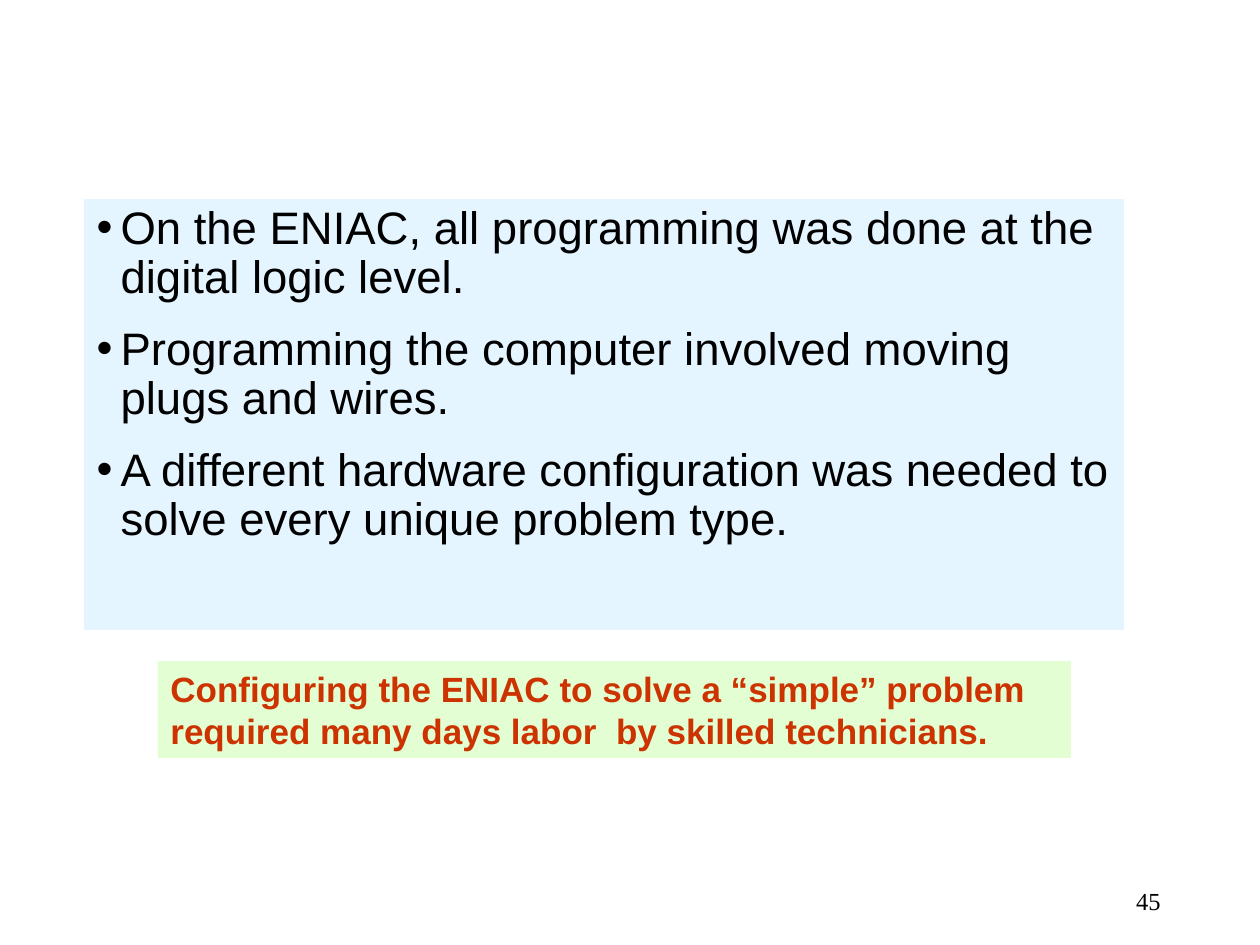
from lxml.etree import SubElement
from pptx import Presentation
from pptx.dml.color import RGBColor
from pptx.enum.shapes import MSO_SHAPE
from pptx.enum.text import MSO_ANCHOR, PP_ALIGN
from pptx.oxml.ns import qn
from pptx.util import Emu, Pt

EMU_PER_PX = 914400 // 126
COLOURS = {
    "text": "000000",
    "accent": "CC3300",
    "body_fill": "E4F5FF",
    "callout_fill": "E2FED2",
}
POINTS = [
    "On the ENIAC, all programming was done at the digital logic level.",
    "Programming the computer involved moving plugs and wires.",
    "A different hardware configuration was needed to solve every unique problem type.",
]
CALLOUT = (
    "Configuring the ENIAC to solve a “simple” problem "
    "required many days labor  by skilled technicians."
)


def px(length):
    return Emu(length * EMU_PER_PX)


def fill_shape(shape, colour):
    shape.fill.solid()
    shape.fill.fore_color.rgb = RGBColor.from_string(COLOURS[colour])
    shape.line.fill.background()


def add_run(paragraph, text, size, font="Arial", colour="text", bold=False):
    run = paragraph.add_run()
    run.text = text
    run.font.size = Pt(size)
    run.font.name = font
    run.font.bold = bold
    run.font.color.rgb = RGBColor.from_string(COLOURS[colour])


def set_bullet(paragraph, indent):
    """Give the paragraph a round bullet with a hanging indent."""
    properties = paragraph._p.get_or_add_pPr()
    properties.set("marL", str(indent))
    properties.set("indent", str(-indent))
    colour = SubElement(properties, qn("a:buClr"))
    SubElement(colour, qn("a:srgbClr"), val=COLOURS["text"])
    SubElement(properties, qn("a:buFont"), typeface="Arial")
    SubElement(properties, qn("a:buChar"), char="•")


def fill_body(body):
    body.left, body.top, body.width, body.height = map(px, (84, 199, 1040, 431))
    fill_shape(body, "body_fill")
    frame = body.text_frame
    for index, point in enumerate(POINTS):
        paragraph = frame.add_paragraph() if index else frame.paragraphs[0]
        paragraph.line_spacing = 0.9
        paragraph.space_before = Pt(13)
        set_bullet(paragraph, px(24))
        add_run(paragraph, point, 26)


def add_callout(slide):
    shape = slide.shapes.add_shape(
        MSO_SHAPE.RECTANGLE, *map(px, (158, 661, 913, 97))
    )
    shape.shadow.inherit = False
    fill_shape(shape, "callout_fill")
    frame = shape.text_frame
    frame.word_wrap = True
    frame.vertical_anchor = MSO_ANCHOR.MIDDLE
    paragraph = frame.paragraphs[0]
    paragraph.alignment = PP_ALIGN.LEFT
    paragraph.space_before = Pt(5)
    add_run(paragraph, CALLOUT, 20, colour="accent", bold=True)


def add_page_number(slide, number):
    box = slide.shapes.add_textbox(*map(px, (890, 876, 283, 50)))
    frame = box.text_frame
    frame.word_wrap = True
    frame.vertical_anchor = MSO_ANCHOR.MIDDLE
    paragraph = frame.paragraphs[0]
    paragraph.alignment = PP_ALIGN.RIGHT
    add_run(paragraph, number, 14, font="Times New Roman")


def main():
    presentation = Presentation()
    presentation.slide_width, presentation.slide_height = px(1260), px(945)
    slide = presentation.slides.add_slide(presentation.slide_layouts[1])
    title = slide.shapes.title
    title.element.getparent().remove(title.element)
    fill_body(slide.placeholders[1])
    add_page_number(slide, "45")
    add_callout(slide)
    presentation.save("out.pptx")


if __name__ == "__main__":
    main()
